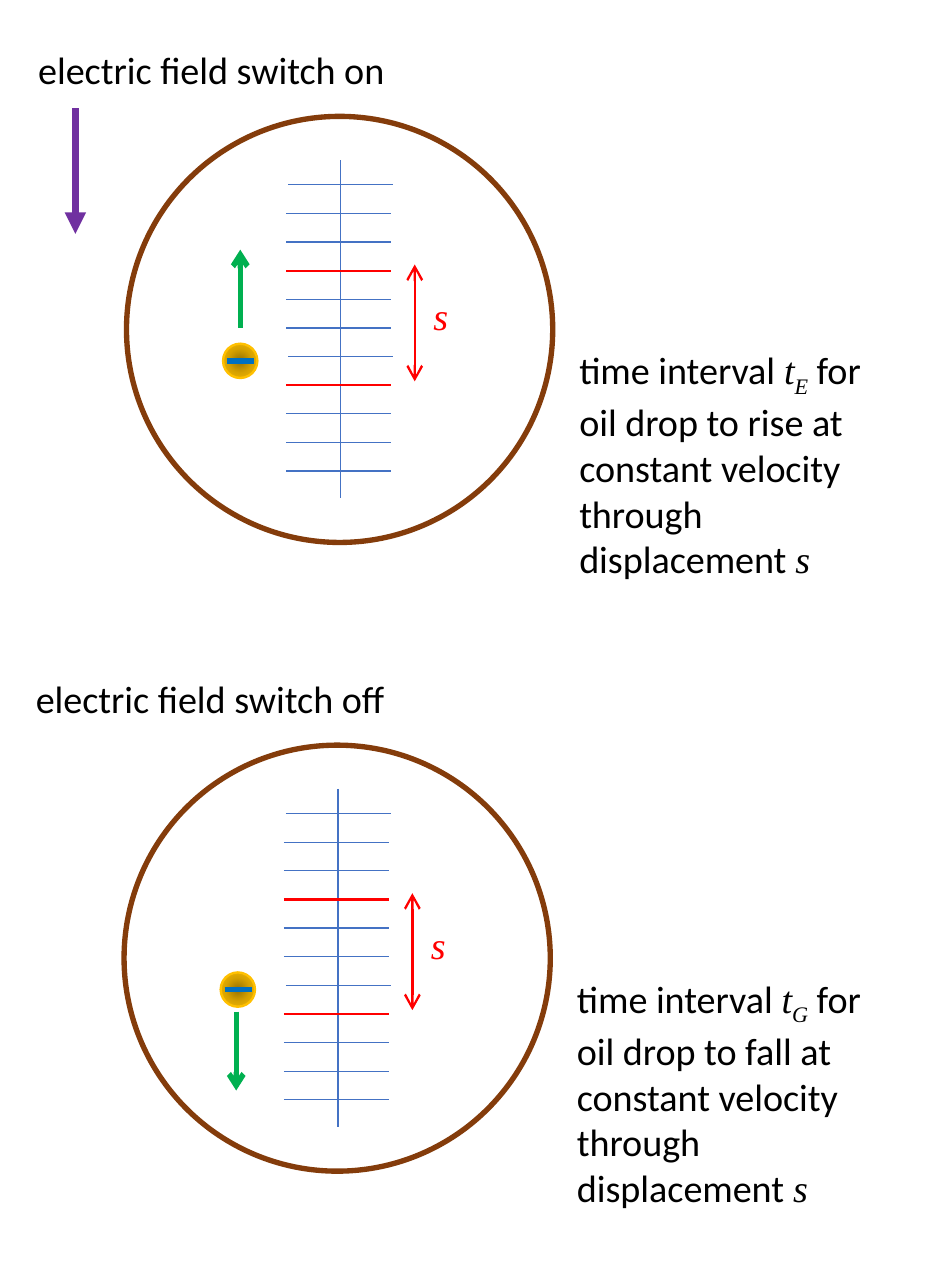
from lxml.etree import SubElement
from pptx import Presentation
from pptx.dml.color import RGBColor
from pptx.enum.shapes import MSO_CONNECTOR, MSO_SHAPE
from pptx.enum.text import MSO_AUTO_SIZE
from pptx.oxml import parse_xml
from pptx.oxml.ns import nsdecls, qn
from pptx.util import Pt

COLORS = {
    "rim": "843C0B", "scale": "4472C4", "mark": "FF0000", "drop": "FFC000",
    "drop_mid": "D7A200", "drop_dark": "977200", "charge": "0070C0",
    "motion": "00B050", "field": "7030A0", "text": "000000",
}
PLAIN = {"name": "Calibri", "size": Pt(16), "italic": False}
SYMBOL = {"name": "Times New Roman", "size": Pt(16), "italic": True}
CIRCLE_SIZE = 178.6
TICK_COUNT, TICK_STEP, TICK_LENGTH = 11, 12, 44
MARKED_TICKS = (3, 7)
SHIFTED_TICKS = (0, 6)


def color(name):
    return RGBColor.from_string(COLORS[name])


def add_line(shapes, start, end, color_name, width, head=None, tail=None):
    points = [Pt(value) for value in (*start, *end)]
    connector = shapes.add_connector(MSO_CONNECTOR.STRAIGHT, *points)
    connector.line.color.rgb = color(color_name)
    connector.line.width = Pt(width)
    properties = connector._element.spPr
    for tag, arrow in (("a:headEnd", head), ("a:tailEnd", tail)):
        if arrow:
            SubElement(properties.find(qn("a:ln")), qn(tag)).set("type", arrow)
    SubElement(properties, qn("a:effectLst"))


def add_circle(shapes, left, top, size, color_name, width):
    circle = shapes.add_shape(MSO_SHAPE.OVAL, Pt(left), Pt(top), Pt(size), Pt(size))
    circle.shadow.inherit = False
    circle.fill.background()
    circle.line.color.rgb = color(color_name)
    circle.line.width = Pt(width)
    return circle


def add_text(slide, box, runs, color_name="text", wrap=False):
    shape = slide.shapes.add_textbox(*[Pt(value) for value in box])
    shape.text_frame.word_wrap = wrap
    shape.text_frame.auto_size = MSO_AUTO_SIZE.SHAPE_TO_FIT_TEXT
    paragraph = shape.text_frame.paragraphs[0]
    for text, style, baseline in runs:
        run = paragraph.add_run()
        run.text = text
        for attribute, value in style.items():
            setattr(run.font, attribute, value)
        run.font.color.rgb = color(color_name)
        if baseline:
            run._r.get_or_add_rPr().set("baseline", str(baseline))


def draw_scale(slide, left, top):
    add_line(slide.shapes, (left + 22.7, top), (left + 22.7, top + 141.7), "scale", 0.5)
    for index in range(TICK_COUNT):
        x = left + (0.8 if index in SHIFTED_TICKS else 0)
        y = top + 10.4 + index * TICK_STEP
        style = ("mark", 1) if index in MARKED_TICKS else ("scale", 0.5)
        add_line(slide.shapes, (x, y), (x + TICK_LENGTH, y), *style)


def draw_drop(slide, left, top, size=14.4):
    group = slide.shapes.add_group_shape()
    drop = add_circle(group.shapes, left, top, size, "drop", 1)
    stops = "".join(
        f'<a:gs pos="{position}"><a:srgbClr val="{COLORS[name]}"/></a:gs>'
        for position, name in ((0, "drop_dark"), (50000, "drop_mid"), (100000, "drop"))
    )
    gradient = parse_xml(
        f'<a:gradFill {nsdecls("a")} rotWithShape="1"><a:gsLst>{stops}</a:gsLst>'
        '<a:path path="circle"><a:fillToRect l="50000" t="50000" r="50000" b="50000"/>'
        '</a:path></a:gradFill>'
    )
    properties = drop._element.spPr
    properties.replace(properties.find(qn("a:noFill")), gradient)
    middle = top + size / 2
    add_line(group.shapes, (left + 1.6, middle), (left + size - 1.4, middle), "charge", 2.25)


def draw_displacement(slide, left, top):
    add_text(slide, (left + 0.7, top + 8.1, 20.9, 26.6), [("s", SYMBOL, 0)], "mark")
    add_line(slide.shapes, (left, top + 49), (left, top), "mark", 1, "arrow", "arrow")


def draw_field(slide, left, top):
    add_line(slide.shapes, (left, top), (left, top + 52.8), "field", 3, tail="triangle")


def draw_panel(slide, left, top, state, subscript, verb, motion):
    add_circle(slide.shapes, left, top, CIRCLE_SIZE, "rim", 2.25)
    draw_scale(slide, left + 67, top + 18.3)
    draw_drop(slide, left + 40.5, top + 95.3)
    motion_x, motion_start, motion_end = motion
    add_line(slide.shapes, (left + motion_x, top + motion_start),
             (left + motion_x, top + motion_end), "motion", 2.25, tail="arrow")
    draw_displacement(slide, left + 120.8, top + 62.1)
    add_text(slide, (left + 182.7, top + 92.9, 146.9, 104.4), [
        ("time interval ", PLAIN, 0),
        ("t", SYMBOL, 0),
        (subscript, SYMBOL, -25000),
        (f" for oil drop to {verb} at constant velocity through displacement ", PLAIN, 0),
        ("s", SYMBOL, 0),
    ], wrap=True)
    add_text(slide, (left - 44.1, top - 32.9, 162, 26.6),
             [(f"electric field switch {state}", PLAIN, 0)])


def main():
    presentation = Presentation()
    presentation.slide_width, presentation.slide_height = Pt(396.85), Pt(540)
    slide = presentation.slides.add_slide(presentation.slide_layouts[6])
    draw_panel(slide, 53, 48.8, "on", "E", "rise", (47.7, 88.7, 55.9))
    draw_field(slide, 31.6, 45.3)
    draw_panel(slide, 52, 312.4, "off", "G", "fall", (47, 111.8, 144.8))
    presentation.save("out.pptx")


if __name__ == "__main__":
    main()
